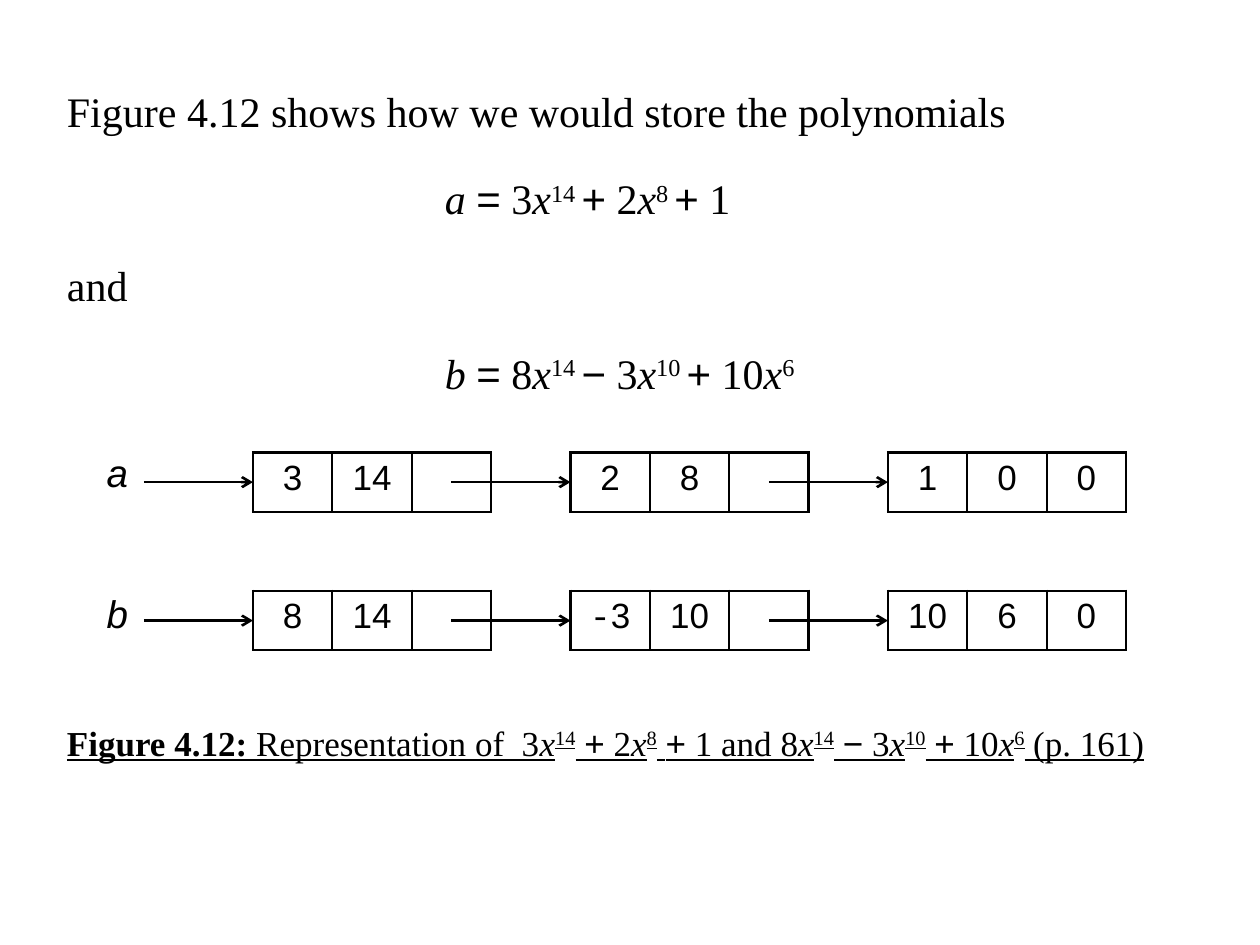
"""Build the slide on storing two polynomials as linked lists."""
from lxml.etree import SubElement
from pptx import Presentation
from pptx.dml.color import RGBColor
from pptx.enum.shapes import MSO_CONNECTOR
from pptx.enum.text import PP_ALIGN
from pptx.oxml import parse_xml
from pptx.oxml.ns import nsdecls, qn
from pptx.util import Cm, Pt

BLACK = "000000"
FONTS = {"A": "Arial", "C": "Courier New"}


def add_spans(para, spans, size, shared=""):
    for text, style in spans:
        style += shared
        span = para.add_run()
        span.text = text
        font = span.font
        font.size = Pt(size)
        font.name = next((FONTS[key] for key in style if key in FONTS), "Times New Roman")
        font.color.rgb = RGBColor.from_string(BLACK)
        font.bold = "b" in style
        font.italic = "i" in style
        font.underline = "u" in style
        if "s" in style:
            span._r.get_or_add_rPr().set("baseline", "30000")


def polynomial(terms, gap_style):
    spans = []
    for sign, factor, power in terms:
        if sign:
            spans += [(" ", gap_style), (sign, "A")]
        spans.append((f" {factor}", ""))
        if power:
            spans += [("x", "i"), (power, "s")]
    return spans


deck = Presentation()
deck.slide_width, deck.slide_height = Cm(25.4), Cm(19.05)
page = deck.slides.add_slide(deck.slide_layouts[6])

a_terms = [("", "3", "14"), ("+", "2", "8"), ("+", "1", "")]
b_terms = [("", "8", "14"), ("−", "3", "10"), ("+", "10", "6")]

lists = [
    ("a", 9.12, 0, ["3", "14", "", "2", "8", "", "1", "0", "0"]),
    ("b", 11.91, 0.05, ["8", "14", "", "-3", "10", "", "10", "6", "0"]),
]
column_width, row_height = 1.6, 1.2
node_columns = [2, 3, 4, 6, 7, 8, 10, 11, 12]
arrows = [(2.9, 5.1), (9.1, 11.5), (15.5, 17.9)]

for name, top, name_inset, values in lists:
    frame = page.shapes.add_table(1, 13, Cm(1.9), Cm(top), Cm(13 * column_width), Cm(row_height))
    table = frame.table
    table.first_row = table.horz_banding = False
    table.rows[0].height = Cm(row_height)
    contents = dict(zip(node_columns, values))
    for index in range(13):
        table.columns[index].width = Cm(column_width)
        cell = table.cell(0, index)
        cell.margin_left = cell.margin_right = Cm(0.25)
        cell.margin_top = Cm(0.13 if index else name_inset)
        cell.margin_bottom = Cm(0)
        in_node = index in contents
        edges = {
            "lnL": in_node or index - 1 in contents,
            "lnR": in_node or index + 1 in contents,
            "lnT": in_node,
            "lnB": in_node,
        }
        properties = cell._tc.get_or_add_tcPr()
        for edge, visible in edges.items():
            paint = f'<a:solidFill><a:srgbClr val="{BLACK}"/></a:solidFill>' if visible else "<a:noFill/>"
            properties.append(parse_xml(f'<a:{edge} {nsdecls("a")} w="{Pt(1.5)}">{paint}</a:{edge}>'))
        cell.fill.background()
        para = cell.text_frame.paragraphs[0]
        if index == 0:
            add_spans(para, [(name, "iA")], 22)
        elif contents.get(index):
            para.alignment = PP_ALIGN.CENTER
            add_spans(para, [(char, "C" if char == "-" else "A") for char in contents[index]]
                      if "-" in contents[index] else [(contents[index], "A")], 20)

    middle = Cm(top + row_height / 2)
    for start, end in arrows:
        arrow = page.shapes.add_connector(MSO_CONNECTOR.STRAIGHT, Cm(start), middle, Cm(end), middle)
        arrow.line.color.rgb = RGBColor.from_string(BLACK)
        arrow.line.width = Pt(1.5)
        SubElement(arrow.line._get_or_add_ln(), qn("a:tailEnd"), type="arrow")
        SubElement(arrow._element.spPr, qn("a:effectLst"))

introduction = [
    ([("Figure 4.12 shows how we would store the polynomials", "")], False),
    ([("a ", "i"), ("=", "A")] + polynomial(a_terms, "s"), True),
    ([("and", "")], False),
    ([("b ", "i"), ("=", "A")] + polynomial(b_terms, "s"), True),
]
box = page.shapes.add_textbox(Cm(1.1), Cm(1.6), Cm(23.2), Cm(6.4))
box.text_frame.word_wrap = True
for number, (spans, indented) in enumerate(introduction):
    para = box.text_frame.add_paragraph() if number else box.text_frame.paragraphs[0]
    if number:
        para.line_spacing = 1.5
        para.space_before = Pt(6.6)
    if indented:
        para._p.get_or_add_pPr().set("marL", str(Cm(7.62)))
    add_spans(para, spans, 24)

caption = page.shapes.add_textbox(Cm(1.1), Cm(14.42), Cm(23.2), Cm(1.2))
caption.text_frame.word_wrap = True
caption_spans = (
    [("Figure 4.12:", "b"), (" Representation of ", "")]
    + polynomial(a_terms, "")
    + [(" and", "")]
    + polynomial(b_terms, "")
    + [(" (p. 161)", "")]
)
add_spans(caption.text_frame.paragraphs[0], caption_spans, 20, "u")

deck.save("out.pptx")
